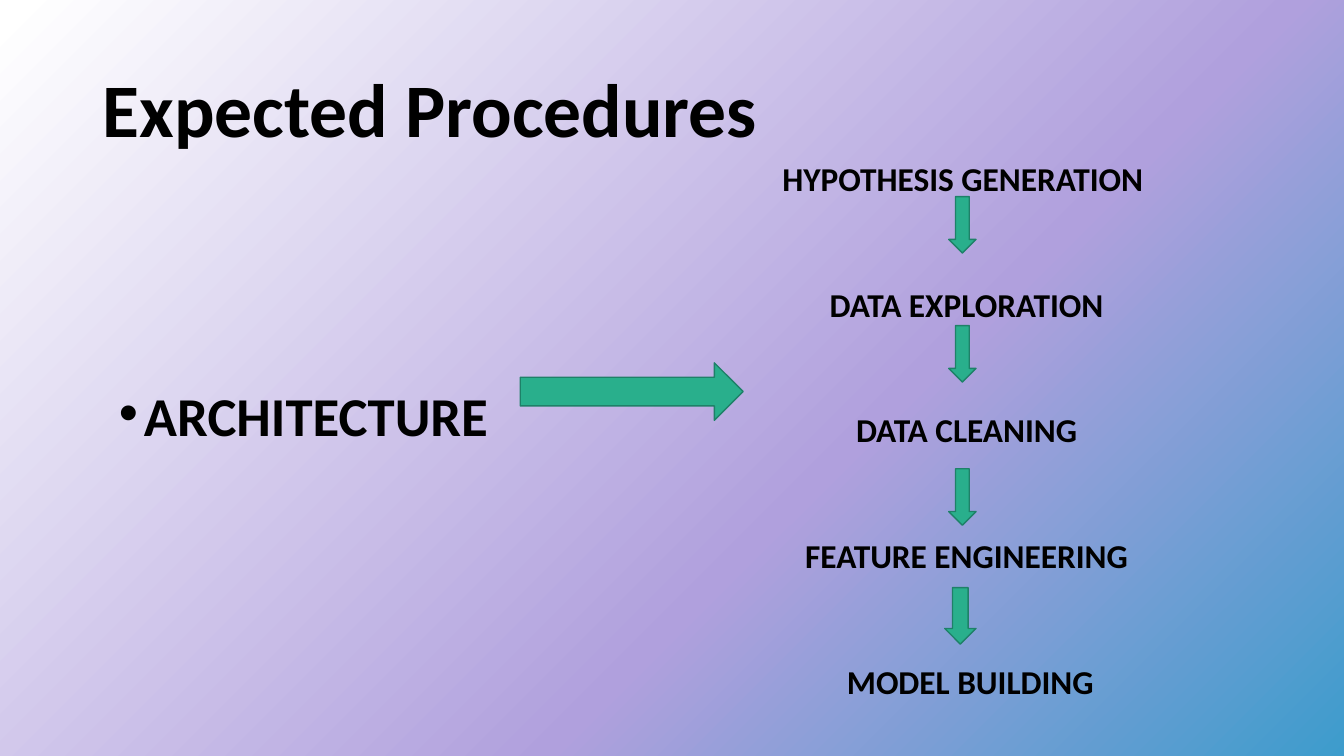
from copy import deepcopy

from lxml import etree
from pptx import Presentation
from pptx import util as u
from pptx.dml.color import RGBColor
from pptx.enum import shapes, text
from pptx.oxml.ns import qn

BLACK = RGBColor(0x00, 0x00, 0x00)
WHITE = RGBColor(0xFF, 0xFF, 0xFF)
LILAC = RGBColor(0xB0, 0xA0, 0xDD)
BLUE = RGBColor(0x3D, 0x9C, 0xCC)
GREEN = RGBColor(0x29, 0xAF, 0x8C)
DARK_GREEN = RGBColor(0x1E, 0x81, 0x68)


class Deck:
    """Slide builder whose lengths are percent shares of the slide's width and height."""

    font = "Calibri"

    def __init__(self):
        self.prs = Presentation()
        self.prs.slide_width, self.prs.slide_height = u.Inches(13.33), u.Inches(7.5)
        self.s = self.prs.slides.add_slide(self.prs.slide_layouts[6])

    def box(self, x, y, w, h):
        sw, sh = self.prs.slide_width, self.prs.slide_height
        return [int(v * side / 100) for v, side in ((x, sw), (y, sh), (w, sw), (h, sh))]

    def background(self, stops, angle):
        fill = self.s.background.fill
        fill.gradient()
        fill.gradient_angle = 360 - angle
        first = fill.gradient_stops[0]._gs
        for _ in stops[2:]:
            first.addnext(deepcopy(first))
        for stop, (position, color) in zip(fill.gradient_stops, stops):
            stop.position = position
            stop.color.rgb = color

    def text(self, area, lines, size, gap=0, spacing=0.7, align=text.PP_ALIGN.LEFT,
             anchor=text.MSO_ANCHOR.TOP, bullet=False):
        tf = self.s.shapes.add_textbox(*self.box(*area)).text_frame
        tf.word_wrap = True
        tf.vertical_anchor = anchor
        for i, line in enumerate(lines):
            p = tf.paragraphs[0] if i == 0 else tf.add_paragraph()
            p.add_run().text = line
            p.alignment, p.line_spacing = align, spacing
            p.space_before = u.Pt(gap if i else 0)
            p.font.name, p.font.size, p.font.bold = self.font, u.Pt(size), True
            p.font.color.rgb = BLACK
            if bullet:
                self.bullet(p)

    def bullet(self, p):
        pPr = p._p.get_or_add_pPr()
        pPr.set("marL", str(u.Inches(0.25)))
        pPr.set("indent", str(-u.Inches(0.25)))
        mark = etree.Element(qn("a:buChar"), char="•")
        pPr.find(qn("a:defRPr")).addprevious(mark)
        mark.addprevious(etree.Element(qn("a:buFont"), typeface="Arial"))

    def arrow(self, kind, area):
        sp = self.s.shapes.add_shape(kind, *self.box(*area))
        sp.shadow.inherit = False
        sp.fill.solid()
        sp.fill.fore_color.rgb = GREEN
        sp.line.color.rgb = DARK_GREEN
        sp.line.width = u.Pt(1)


def main():
    deck = Deck()
    deck.background([(0.01, WHITE), (0.62, LILAC), (1, BLUE)], 45)
    deck.text((6.9, 5.33, 86.27, 19.33), ["Expected Procedures"], 54,
              spacing=0.9, anchor=text.MSO_ANCHOR.MIDDLE)
    deck.text((8.1, 52.2, 42.5, 8), ["ARCHITECTURE"], 39.1, bullet=True)
    steps = ["HYPOTHESIS GENERATION ", "DATA EXPLORATION", "DATA CLEANING",
             "FEATURE ENGINEERING", " MODEL BUILDING"]
    deck.text((50.64, 21.73, 42.54, 72.93), steps, 23.8, gap=69.7,
              align=text.PP_ALIGN.CENTER)
    deck.arrow(shapes.MSO_SHAPE.RIGHT_ARROW, (38.71, 48, 16.58, 7.6))
    for x, y, w in ((70.59, 26, 2.03), (70.59, 43.07, 2.03),
                    (70.59, 62, 2.03), (70.29, 77.73, 2.33)):
        deck.arrow(shapes.MSO_SHAPE.DOWN_ARROW, (x, y, w, 7.47))
    deck.prs.save("out.pptx")


if __name__ == "__main__":
    main()
